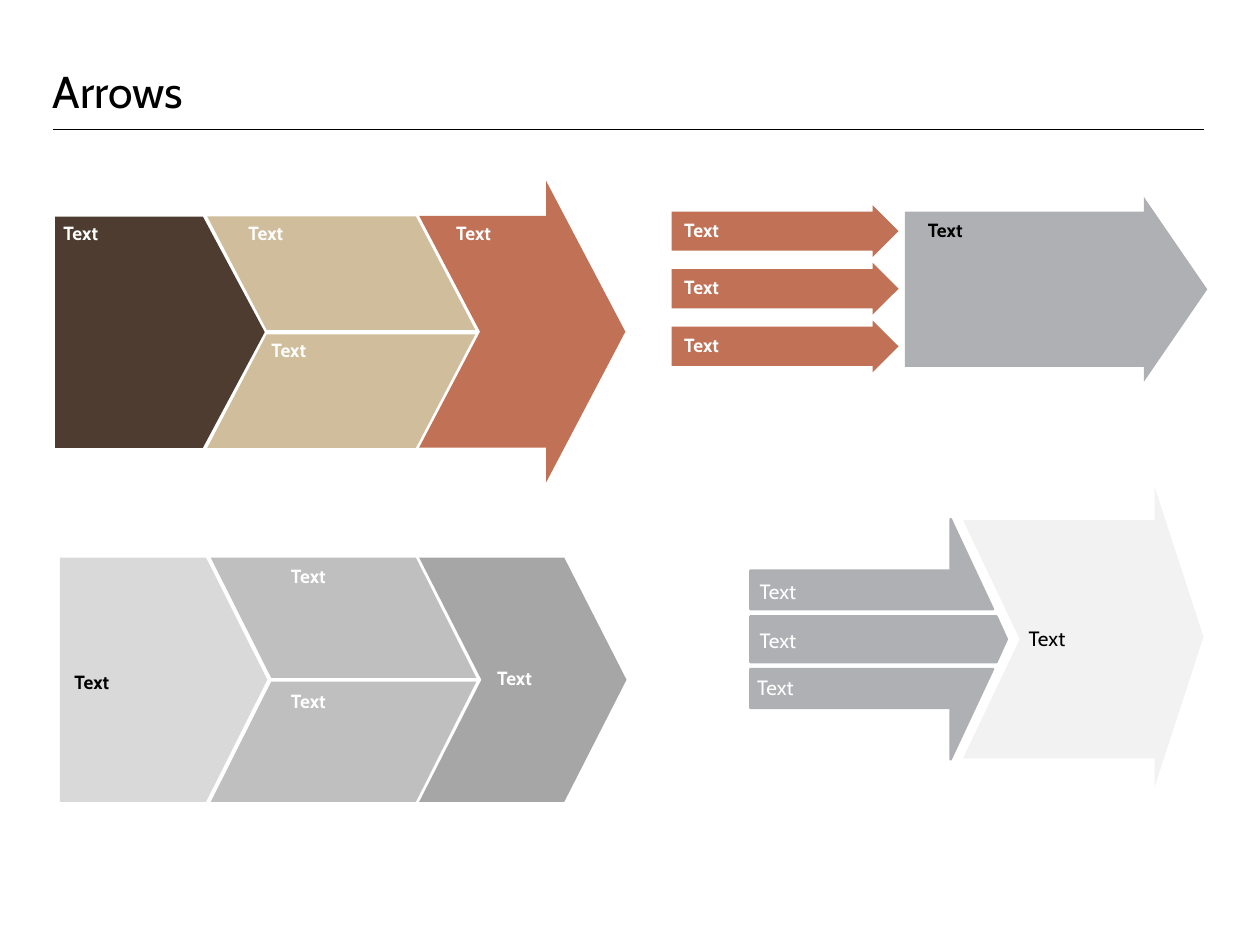
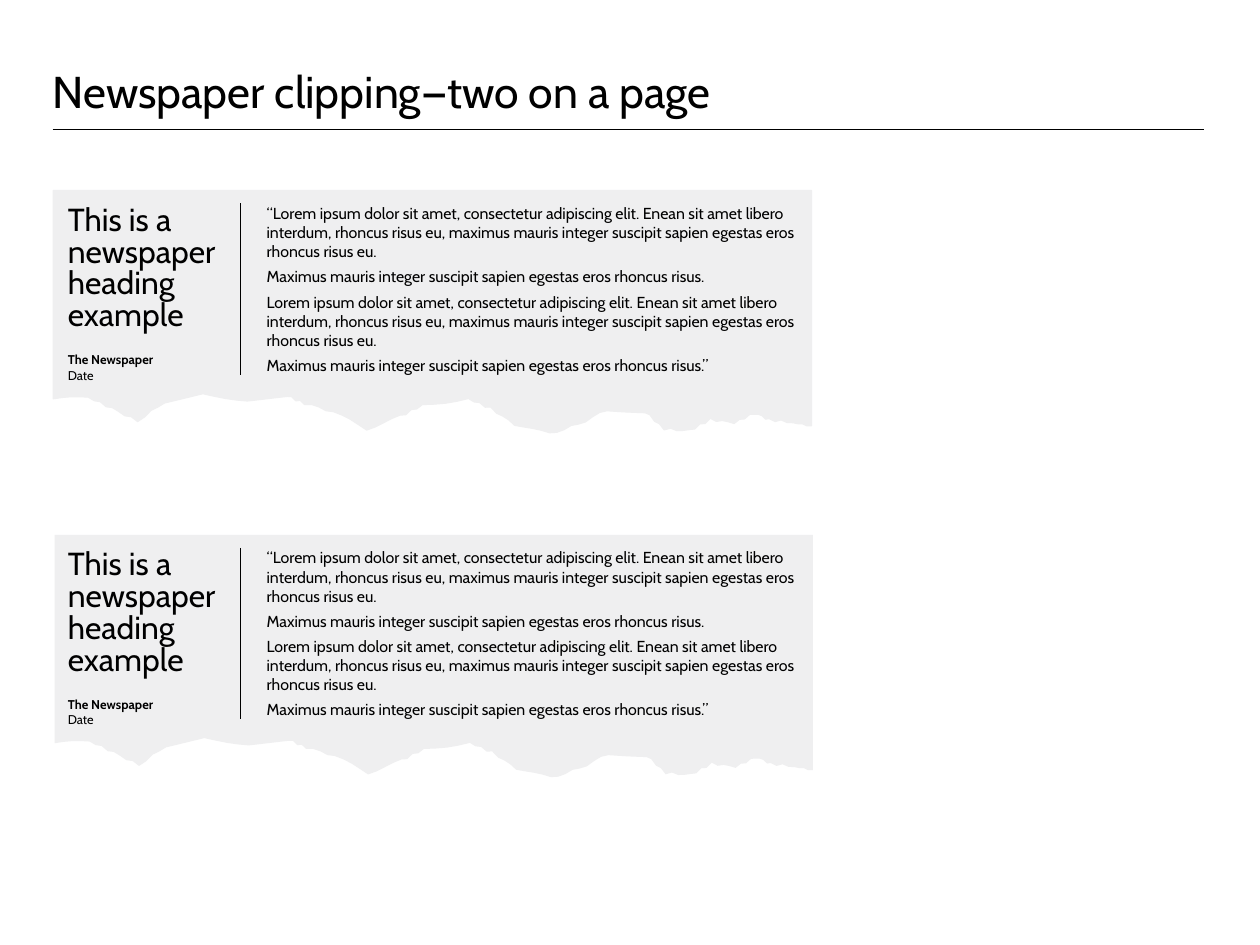
"""Build two slides: a set of arrow diagrams and a pair of newspaper clippings."""
from itertools import pairwise
from math import sin

from lxml import etree
from pptx import Presentation
from pptx.dml.color import RGBColor
from pptx.enum.shapes import MSO_CONNECTOR, MSO_SHAPE
from pptx.enum.text import MSO_ANCHOR
from pptx.oxml.ns import qn
from pptx.util import Pt

PENTAGON = MSO_SHAPE.PENTAGON
CHEVRON = MSO_SHAPE.CHEVRON
SLANT = MSO_SHAPE.PARALLELOGRAM
ARROW = MSO_SHAPE.RIGHT_ARROW
NOTCHED = MSO_SHAPE.NOTCHED_RIGHT_ARROW
STRAIGHT = MSO_CONNECTOR.STRAIGHT
TOP, MIDDLE, BOTTOM = MSO_ANCHOR.TOP, MSO_ANCHOR.MIDDLE, MSO_ANCHOR.BOTTOM

FONT = "Cabin"
BLACK = RGBColor(0x00, 0x00, 0x00)
WHITE = RGBColor(0xFF, 0xFF, 0xFF)
RUST = RGBColor(0xC0, 0x71, 0x56)
BROWN = RGBColor(0x4D, 0x3C, 0x2F)
SAND = RGBColor(0xCF, 0xBD, 0x9B)
STEEL = RGBColor(0xAE, 0xB0, 0xB3)
LIGHT = RGBColor(0xD9, 0xD9, 0xD9)
MEDIUM = RGBColor(0xBF, 0xBF, 0xBF)
DARK = RGBColor(0xA6, 0xA6, 0xA6)
PALE = RGBColor(0xF2, 0xF2, 0xF2)
PAPER = RGBColor(0xEF, 0xEF, 0xF0)

LEFT, RIGHT = 33.1, 756.7
RULE_Y = 81.4


def add_text(page, lines, left, top, width, height, size, colour=BLACK, bold=False, anchor=TOP):
    """Add a text box without insets and return its paragraphs."""
    box = page.shapes.add_textbox(Pt(left), Pt(top), Pt(width), Pt(height))
    frame = box.text_frame
    frame.word_wrap = True
    frame.vertical_anchor = anchor
    frame.margin_left = frame.margin_right = frame.margin_top = frame.margin_bottom = 0
    frame.text = "\n".join(lines)
    for para in frame.paragraphs:
        para.font.name = FONT
        para.font.size = Pt(size)
        para.font.bold = bold
        para.font.color.rgb = colour
    return frame.paragraphs


def add_outline(page, points, fill, line=None, weight=0):
    """Add a closed freeform through the given points."""
    corners = [(Pt(x), Pt(y)) for x, y in points]
    builder = page.shapes.build_freeform(*corners[0], scale=1.0)
    builder.add_line_segments(corners[1:], close=True)
    shape = builder.convert_to_shape()
    shape.shadow.inherit = False
    shape.fill.solid()
    shape.fill.fore_color.rgb = fill
    if line is None:
        shape.line.fill.background()
    else:
        shape.line.color.rgb = line
        shape.line.width = Pt(weight)


deck = Presentation()
deck.slide_width, deck.slide_height = Pt(792), Pt(594)
pages = []
rules = []
for title in ("Arrows", "Newspaper clipping—two on a page"):
    page = deck.slides.add_slide(deck.slide_layouts[6])
    pages.append(page)
    para = add_text(page, [title], LEFT, 0, RIGHT - LEFT, 73.8, 28, anchor=BOTTOM)[0]
    para.line_spacing = Pt(32)
    rules.append((page, LEFT, RULE_Y, RIGHT, RULE_Y, 0.75))
arrows_page, clippings_page = pages

HEAD_LEFT = 263.5
arrow_shapes = [
    (NOTCHED, HEAD_LEFT, 113.8, 129.6, 189.4, (0.769, 0.384), RUST),
    (CHEVRON, HEAD_LEFT, 350.6, 130.3, 153.4, (0.3,), DARK),
    (ARROW, 568.8, 123.8, 190.1, 116.2, (0.84, 0.343), STEEL),
]
labels = [
    (39.8, 146.5, WHITE),
    (156.2, 146.5, WHITE),
    (170.6, 219.9, WHITE),
    (286.8, 146.5, WHITE),
    (46.8, 428.7, BLACK),
    (182.9, 361.8, WHITE),
    (182.9, 440.6, WHITE),
    (312.5, 426.1, WHITE),
    (583.2, 144.4, BLACK),
]

flipped_slants = []
for top, height, gap, tail, slants in [
    (136.1, 145.4, 2.8, (34.6, 131.8, BROWN), (130.3, 168.5, 0.524, SAND)),
    (350.6, 153.4, 2.2, (37.7, 130.3, LIGHT), (132.5, 167, 0.503, MEDIUM)),
]:
    tail_left, tail_width, tail_fill = tail
    arrow_shapes.append((PENTAGON, tail_left, top, tail_width, height, (0.295,), tail_fill))
    slant_left, slant_width, lean, slant_fill = slants
    half = (height - gap) / 2
    flipped_slants.append(len(arrow_shapes))
    for slant_top in (top, top + half + gap):
        arrow_shapes.append(
            (SLANT, slant_left, slant_top, slant_width, half, (lean,), slant_fill))

for row in range(3):
    top = 129.1 + 36.2 * row
    arrow_shapes.append((ARROW, 422.2, top, 142.6, 32.4, (0.759, 0.501), RUST))
    labels.append((430.1, top + 15.3, WHITE))

for number, (kind, left, top, width, height, adjustments, fill) in enumerate(arrow_shapes):
    shape = arrows_page.shapes.add_shape(kind, Pt(left), Pt(top), Pt(width), Pt(height))
    for index, value in enumerate(adjustments):
        shape.adjustments[index] = value
    shape.shadow.inherit = False
    shape.fill.solid()
    shape.fill.fore_color.rgb = fill
    shape.line.fill.background()
    if number in flipped_slants:
        shape.element.spPr.find(qn("a:xfrm")).set("flipV", "1")

LABEL_WIDTH, LABEL_HEIGHT = 72, 12.2
for left, middle, colour in labels:
    add_text(arrows_page, ["Text"], left, middle - LABEL_HEIGHT / 2, LABEL_WIDTH, LABEL_HEIGHT,
             12, colour, True, MIDDLE)

AXIS = 401.8
TAIL, NECK = 471.6, 597.6
big_head = [(604.1, AXIS - 75.6), (725, AXIS - 75.6), (725, 301), (757.4, 400.3),
            (725, 499.7), (725, AXIS + 75.6), (604.1, AXIS + 75.6), (640.1, AXIS)]
middle_stripe = [(TAIL, AXIS - 14.4), (626.4, AXIS - 14.4), (632.9, AXIS),
                 (626.4, AXIS + 14.4), (TAIL, AXIS + 14.4)]
upper_stripe = [(NECK, AXIS - 43.2), (NECK, AXIS - 75.6), (624.2, AXIS - 18.8),
                (TAIL, AXIS - 18.8), (TAIL, AXIS - 43.2)]
lower_stripe = [(x, 2 * AXIS - y) for x, y in upper_stripe]
add_outline(arrows_page, big_head, PALE, WHITE, 1.5)
for stripe in (upper_stripe, middle_stripe, lower_stripe):
    add_outline(arrows_page, stripe, STEEL, STEEL, 1.5)

for left, middle, width, colour in [
    (477.4, 371.5, 131, WHITE),
    (477.4, 402.4, 131, WHITE),
    (475.9, 432, 131, WHITE),
    (646.6, 401, 103, BLACK),
]:
    add_text(arrows_page, ["Text"], left, middle - 5, width, 10, 13, colour, anchor=MIDDLE)

CLIP_WIDTH = 476.6
TEAR_TURNS = [
    (0, 131), (22, 130), (37, 137), (53, 145), (70, 133), (94, 128), (122, 132), (147, 129),
    (158, 134), (176, 139), (197, 150), (218, 142), (232, 135), (261, 131), (275, 137),
    (290, 147), (312, 153), (330, 147), (348, 138), (372, 139), (384, 150), (400, 151),
    (413, 144), (428, 146), (441, 140), (450, 144), (465, 146), (CLIP_WIDTH, 148),
]
STEPS = 4
RIPPLE = 0.8

torn_edge = []
for (start_x, start_y), (end_x, end_y) in pairwise(TEAR_TURNS):
    for step in range(STEPS):
        share = step / STEPS
        x = start_x + share * (end_x - start_x)
        y = start_y + share * (end_y - start_y)
        torn_edge.append((x, y + RIPPLE * sin(x)))
torn_edge.append(TEAR_TURNS[-1])
clipping = [(CLIP_WIDTH, 0), (0, 0)] + torn_edge

LONG = ("Lorem ipsum dolor sit amet, consectetur adipiscing elit. Enean sit amet libero "
        "interdum, rhoncus risus eu, maximus mauris integer suscipit sapien egestas eros "
        "rhoncus risus eu.")
SHORT = "Maximus mauris integer suscipit sapien egestas eros rhoncus risus."
ARTICLE = ["“" + LONG, SHORT, LONG, SHORT + "”"]
HEADING = ["This is a newspaper heading example", "The Newspaper", "Date"]
DIVIDER_X = 151.2

for left, top, line in [(33.5, 119.7, PAPER), (34.4, 336.2, None)]:
    points = [(left + x, top + y) for x, y in clipping]
    add_outline(clippings_page, points, PAPER, line, 0.75)

    article = add_text(clippings_page, ARTICLE, 167.6, top + 8.3, 332.6, 111.6, 10)
    for para in article[1:]:
        para.space_before = Pt(3.8)

    heading, source, date = add_text(clippings_page, HEADING, 42.6, top + 9.7, 99.4, 108, 8)
    heading.font.size = heading.line_spacing = Pt(20)
    source.font.bold = True
    source.space_before = Pt(12)
    rules.append((clippings_page, DIVIDER_X, top + 8.2, DIVIDER_X, top + 115.9, 0.5))

for page, start_x, start_y, end_x, end_y, weight in rules:
    rule = page.shapes.add_connector(STRAIGHT, Pt(start_x), Pt(start_y), Pt(end_x), Pt(end_y))
    rule.line.color.rgb = BLACK
    rule.line.width = Pt(weight)
    etree.SubElement(rule.element.spPr, qn("a:effectLst"))

deck.save("out.pptx")
